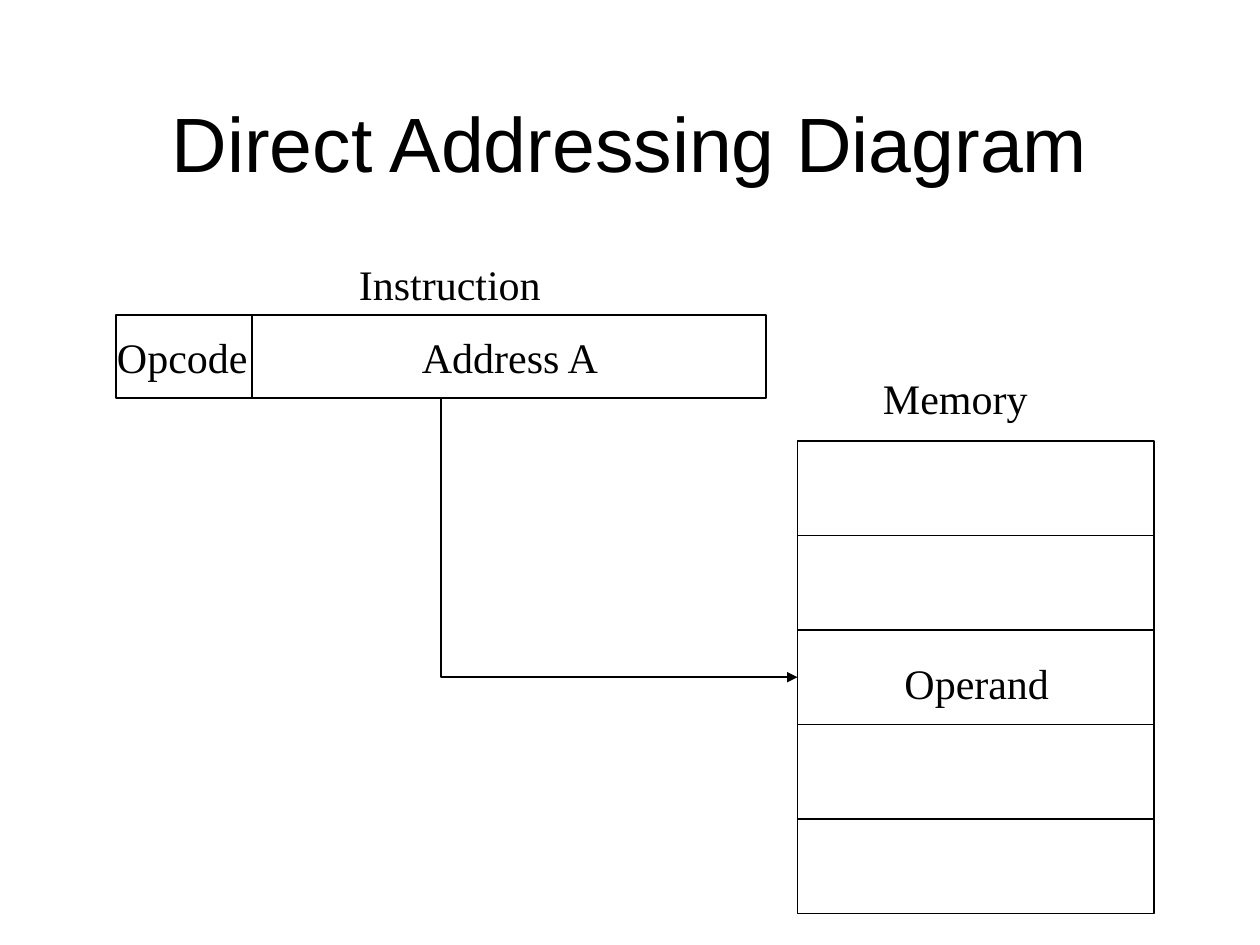
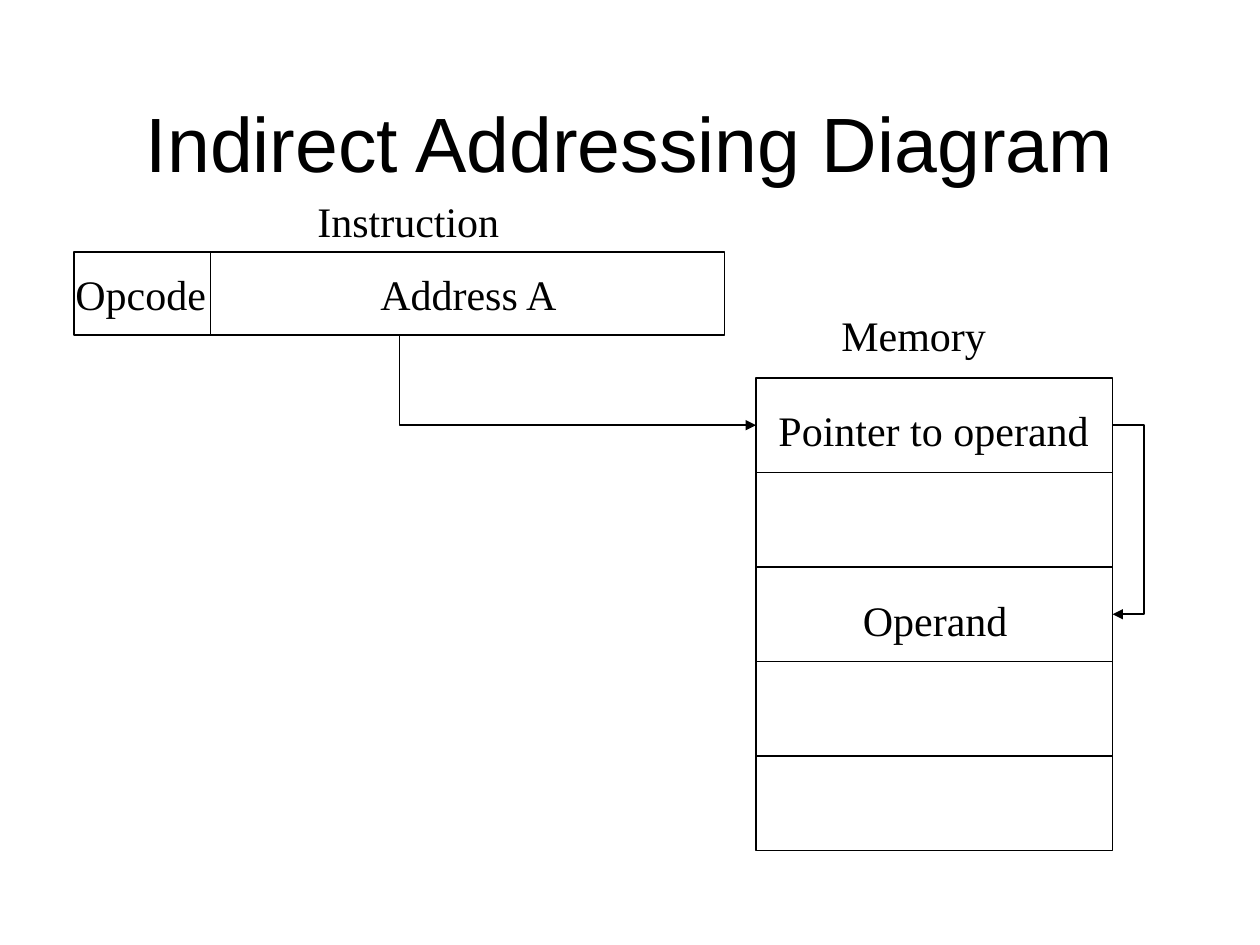
from lxml import etree
from pptx import Presentation
from pptx import util as u
from pptx.dml.color import RGBColor
from pptx.enum import shapes, text
from pptx.oxml import ns

BLACK = "000000"
TITLE_FONT, LABEL_FONT = "Arial", "Times New Roman"
CELL_WIDTH, CELL_HEIGHT, CELL_COUNT = 2.83, 0.75, 5
INSTRUCTION_WIDTH, INSTRUCTION_HEIGHT = 5.16, 0.66
MEMORY_LEFT, MEMORY_TOP = 5.41, 1.0
MEMORY_RIGHT = MEMORY_LEFT + CELL_WIDTH


def color(hex_string):
    return RGBColor.from_string(hex_string)


class Diagram:
    """Style and current slide; elements are placed from an origin in inches."""

    def __init__(self, presentation):
        self.presentation = presentation

    def new_slide(self, title, left, top):
        self.left, self.top = left, top
        self.slide = self.presentation.slides.add_slide(self.presentation.slide_layouts[6])
        frame = self.slide.shapes.add_textbox(
            u.Inches(0.5), u.Inches(0.3), u.Inches(9), u.Inches(1.24)).text_frame
        frame.word_wrap = True
        frame.vertical_anchor = text.MSO_ANCHOR.BOTTOM
        paragraph = frame.paragraphs[0]
        paragraph.alignment = text.PP_ALIGN.CENTER
        paragraph.line_spacing = 0.81
        self.run(paragraph, title, TITLE_FONT, 44)

    def place(self, x, y):
        return u.Inches(self.left + x), u.Inches(self.top + y)

    def run(self, paragraph, words, font, size):
        run = paragraph.add_run()
        run.text = words
        run.font.name = font
        run.font.size = u.Pt(size)
        run.font.color.rgb = color(BLACK)

    def outline(self, shape):
        shape.line.color.rgb = color(BLACK)
        shape.line.width = u.Pt(1)

    def label(self, words, x, y, width):
        frame = self.slide.shapes.add_textbox(
            *self.place(x, y), u.Inches(width), u.Inches(0.5)).text_frame
        frame.word_wrap = False
        frame.auto_size = text.MSO_AUTO_SIZE.SHAPE_TO_FIT_TEXT
        self.run(frame.paragraphs[0], words, LABEL_FONT, 24)

    def box(self, x, y, width, height):
        shape = self.slide.shapes.add_shape(
            shapes.MSO_SHAPE.RECTANGLE, *self.place(x, y), u.Inches(width), u.Inches(height))
        shape.shadow.inherit = False
        shape.fill.background()
        self.outline(shape)

    def divider(self, x, top, bottom):
        line = self.slide.shapes.add_connector(
            shapes.MSO_CONNECTOR.STRAIGHT, *self.place(x, top), *self.place(x, bottom))
        self.outline(line)
        etree.SubElement(line.element.spPr, ns.qn("a:effectLst"))

    def arrow(self, *points):
        """Draw a bent line through the points, with a head at the last one."""
        start, *corners = [self.place(x, y) for x, y in points]
        builder = self.slide.shapes.build_freeform(*start)
        builder.add_line_segments(corners, close=False)
        shape = builder.convert_to_shape()
        shape.shadow.inherit = False
        shape.fill.background()
        self.outline(shape)
        line = shape.element.spPr.find(ns.qn("a:ln"))
        etree.SubElement(line, ns.qn("a:tailEnd"), type="triangle")


def cell_middle(index):
    return MEMORY_TOP + (index + 0.5) * CELL_HEIGHT


def draw_addressing(diagram, target_cell):
    """Draw instruction and memory, with an arrow from the address to a cell."""
    diagram.box(0, 0, INSTRUCTION_WIDTH, INSTRUCTION_HEIGHT)
    diagram.divider(1.08, 0.01, INSTRUCTION_HEIGHT)
    for index in range(CELL_COUNT):
        diagram.box(MEMORY_LEFT, MEMORY_TOP + index * CELL_HEIGHT, CELL_WIDTH, CELL_HEIGHT)
    for words, x, y, width in (
        ("Address A", 2.33, 0.08, 1.63),
        ("Opcode", -0.09, 0.08, 1.26),
        ("Instruction", 1.83, -0.5, 1.68),
        ("Memory", 5.99, 0.41, 1.37),
        ("Operand", 6.16, 2.67, 1.37),
    ):
        diagram.label(words, x, y, width)
    target = cell_middle(target_cell)
    diagram.arrow((2.58, INSTRUCTION_HEIGHT), (2.58, target), (MEMORY_LEFT, target))


def main():
    presentation = Presentation()
    presentation.slide_width, presentation.slide_height = u.Inches(10), u.Inches(7.5)
    diagram = Diagram(presentation)

    diagram.new_slide("Direct Addressing Diagram", 0.92, 2.5)
    draw_addressing(diagram, target_cell=2)

    diagram.new_slide("Indirect Addressing Diagram", 0.59, 2)
    draw_addressing(diagram, target_cell=0)
    diagram.label("Pointer to operand", 5.49, 1.16, 2.68)
    bend = MEMORY_RIGHT + 0.25
    diagram.arrow((MEMORY_RIGHT, cell_middle(0)), (bend, cell_middle(0)),
                  (bend, cell_middle(2)), (MEMORY_RIGHT, cell_middle(2)))

    presentation.save("out.pptx")


if __name__ == "__main__":
    main()
